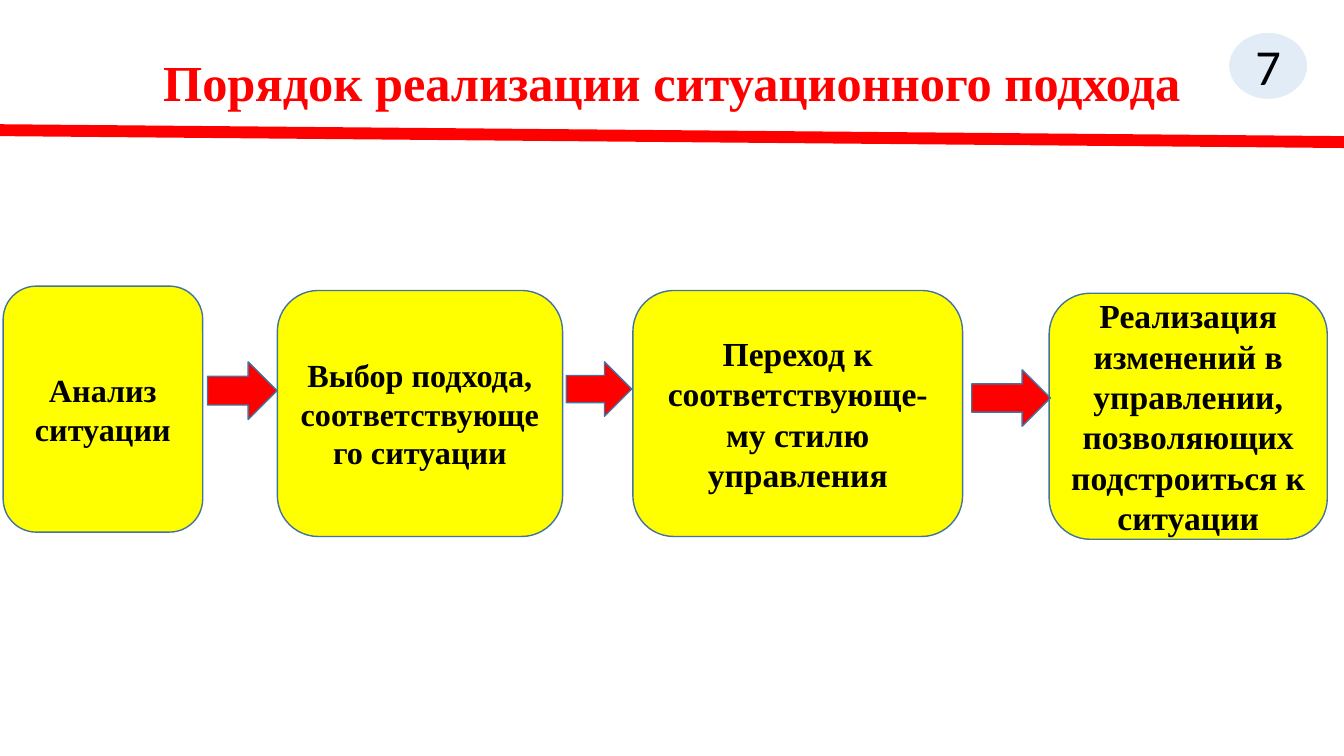
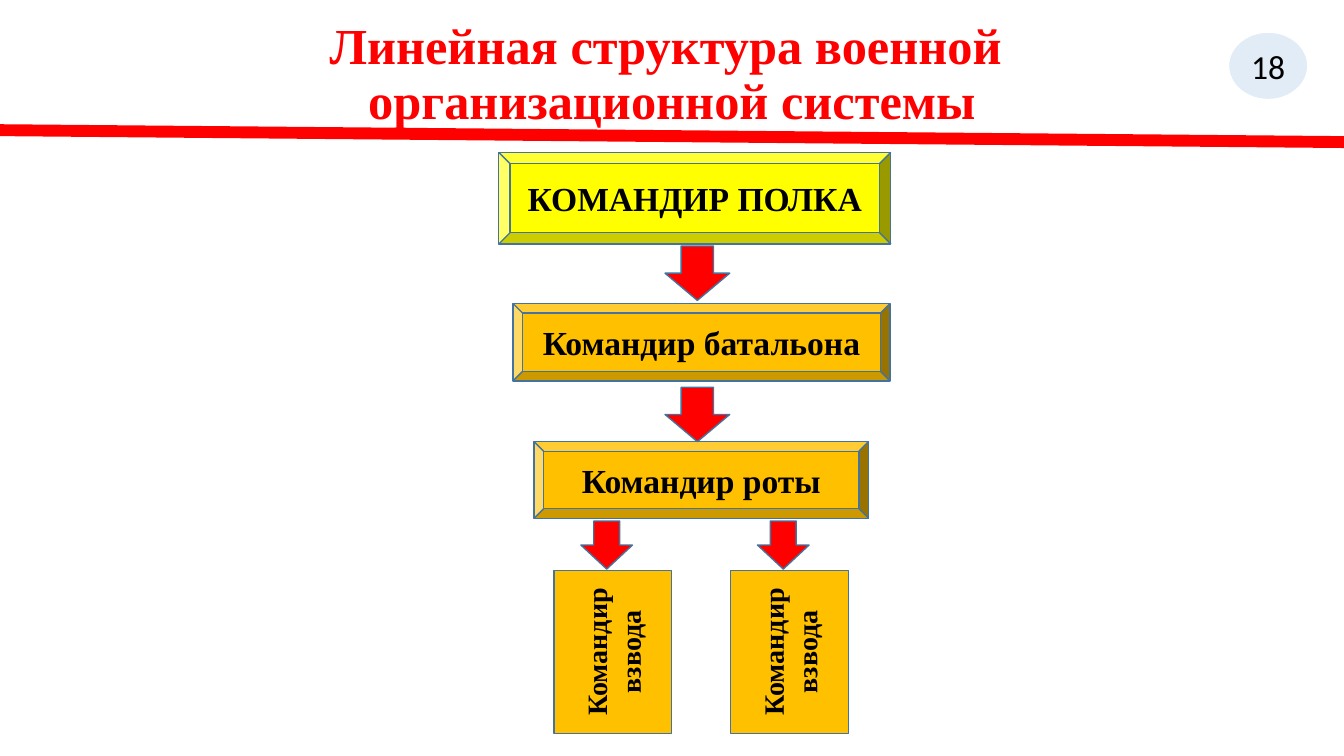
from lxml import etree
from pptx import Presentation
from pptx import util as u
from pptx.dml.color import RGBColor
from pptx.enum import shapes, text
from pptx.oxml import ns

RED = RGBColor(0xFF, 0x00, 0x00)
YELLOW = RGBColor(0xFF, 0xFF, 0x00)
AMBER = RGBColor(0xFF, 0xC0, 0x00)
STEEL = RGBColor(0x43, 0x73, 0x9E)
SKY = RGBColor(0x5B, 0x9B, 0xD5)
WHITE = RGBColor(0xFF, 0xFF, 0xFF)
BLACK = RGBColor(0x00, 0x00, 0x00)

SERIF = "Times New Roman"
SANS = "Calibri"
WIDTH, HEIGHT = 33.87, 19.05
Kind = shapes.MSO_SHAPE


class Deck:
    def __init__(self):
        self.presentation = Presentation()
        self.presentation.slide_width = u.Cm(WIDTH)
        self.presentation.slide_height = u.Cm(HEIGHT)
        self.page = None

    def add_page(self, title, number, number_size, title_top, title_height):
        layout = self.presentation.slide_layouts.get_by_name("Title Only")
        self.page = self.presentation.slides.add_slide(layout)
        self.title(title, title_top, title_height)
        self.rule()
        self.badge(number, number_size)

    def label(self, box, wording, size, font=SERIF, color=BLACK, bold=True):
        frame = box.text_frame
        frame.text = wording
        frame.word_wrap = True
        frame.auto_size = text.MSO_AUTO_SIZE.NONE
        frame.vertical_anchor = text.MSO_ANCHOR.MIDDLE
        paragraph = frame.paragraphs[0]
        paragraph.alignment = text.PP_ALIGN.CENTER
        paragraph.font.name = font
        paragraph.font.size = u.Pt(size)
        paragraph.font.bold = bold
        paragraph.font.color.rgb = color
        return paragraph

    def title(self, wording, top, height):
        box = self.page.shapes.title
        box.left, box.top = u.Cm(2.33), u.Cm(top)
        box.width, box.height = u.Cm(29.21), u.Cm(height)
        self.label(box, wording, 36, color=RED).line_spacing = 0.9

    def rule(self):
        line = self.page.shapes.add_connector(
            shapes.MSO_CONNECTOR.STRAIGHT,
            u.Cm(0), u.Cm(3.28), u.Cm(WIDTH), u.Cm(3.58))
        line.line.color.rgb = RED
        line.line.width = u.Pt(8.5)
        etree.SubElement(line.element.spPr, ns.qn("a:effectLst"))

    def shape(self, kind, left, top, width, height, fill, outline=STEEL):
        shape = self.page.shapes.add_shape(
            kind, u.Cm(left), u.Cm(top), u.Cm(width), u.Cm(height))
        shape.shadow.inherit = False
        shape.fill.solid()
        shape.fill.fore_color.rgb = fill
        shape.line.color.rgb = outline
        shape.line.width = u.Pt(1)
        return shape

    def badge(self, number, size):
        oval = self.shape(Kind.OVAL, 30.96, 0.81, 2, 1.7, SKY, WHITE)
        color = oval.element.spPr.find(".//" + ns.qn("a:srgbClr"))
        etree.SubElement(color, ns.qn("a:alpha"), val="18000")
        self.label(oval, number, size, font=SANS, bold=False)
        oval.text_frame.word_wrap = False

    def box(self, kind, wording, size, place, fill, rotation=0):
        box = self.shape(kind, *place, fill)
        box.rotation = rotation
        self.label(box, wording, size)

    def arrow(self, kind, *place):
        self.shape(kind, *place, RED)


def situational_approach(deck):
    deck.add_page("Порядок реализации ситуационного подхода", "7", 36, 1.02, 2.26)
    steps = [
        ("Анализ ситуации", 23, 0.08, 7.21, 5.03),
        ("Выбор подхода, соответствующего ситуации", 23, 6.99, 7.32, 7.19),
        ("Переход к соответствующе-му стилю управления", 24, 15.95, 7.32, 8.31),
        ("Реализация изменений в управлении, позволяющих подстроиться к ситуации",
         24, 26.44, 7.39, 7.01),
    ]
    for wording, size, left, top, width in steps:
        deck.box(Kind.ROUNDED_RECTANGLE, wording, size, (left, top, width, 6.2), YELLOW)
    for place in [(5.23, 9.12, 1.75, 1.45),
                  (14.27, 9.12, 1.65, 1.37),
                  (24.49, 9.32, 1.98, 1.42)]:
        deck.arrow(Kind.RIGHT_ARROW, *place)


def linear_structure(deck):
    deck.add_page("Линейная структура военной \vорганизационной системы",
                  "18", 24, 0.53, 2.75)
    commanders = [
        ("КОМАНДИР ПОЛКА", (12.57, 3.84, 9.88, 2.31), YELLOW),
        ("Командир батальона", (12.93, 7.65, 9.5, 1.95), AMBER),
        ("Командир роты", (13.46, 11.13, 8.43, 1.93), AMBER),
    ]
    for wording, place, fill in commanders:
        deck.box(Kind.BEVEL, wording, 24, place, fill)
    for top in (6.2, 9.76):
        deck.arrow(Kind.DOWN_ARROW, 16.76, top, 1.63, 1.37)
    for platoon in range(2):
        shift = platoon * 4.45
        deck.box(Kind.RECTANGLE, "Командир взвода", 20,
                 (13.39 + shift, 14.94, 4.11, 2.97), AMBER, rotation=270)
        deck.arrow(Kind.DOWN_ARROW, 14.64 + shift, 13.13, 1.3, 1.21)


def main():
    deck = Deck()
    situational_approach(deck)
    linear_structure(deck)
    deck.presentation.save("out.pptx")


if __name__ == "__main__":
    main()
